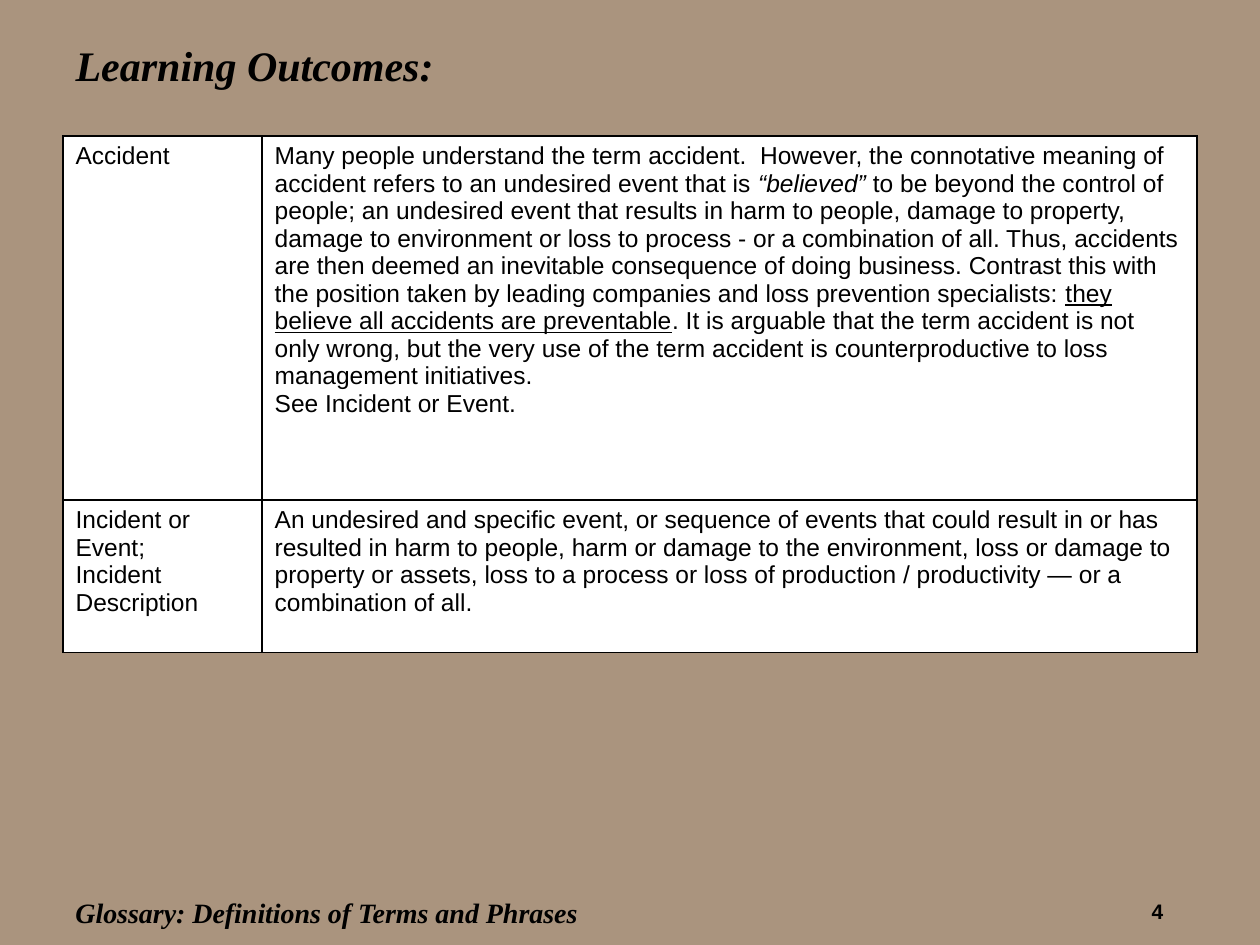
from lxml.etree import SubElement
from pptx import Presentation
from pptx.dml.color import RGBColor
from pptx.enum.text import MSO_ANCHOR as Anchor, PP_ALIGN as Align
from pptx.oxml.ns import qn
from pptx.util import Inches, Pt

COLORS = {"background": "AA947E", "cell": "FFFFFF", "ink": "000000"}
BODY_FONT, HEADING_FONT = "Arial", "Times New Roman"
BODY_SIZE = 14

TITLE = "Learning Outcomes:"
FOOTER = "Glossary: Definitions of Terms and Phrases"
PAGE = "4"
GLOSSARY = [
    (
        [[("Accident", "")]],
        [
            [
                ("Many people understand the term accident.  However, the connotative "
                 "meaning of accident refers to an undesired event that is ", ""),
                ("“believed” ", "italic"),
                ("to be beyond the control of people; an undesired event that results "
                 "in harm to people, damage to property, damage to environment or loss "
                 "to process - or a combination of all. Thus, accidents are then deemed "
                 "an inevitable consequence of doing business. Contrast this with the "
                 "position taken by leading companies and loss prevention specialists: ", ""),
                ("they believe all accidents are preventable", "underline"),
                (". It is arguable that the term accident is not only wrong, but the "
                 "very use of the term accident is counterproductive to loss management "
                 "initiatives.", ""),
            ],
            [("See Incident or Event.", "")],
        ],
    ),
    (
        [[("Incident or Event; \nIncident Description", "")]],
        [[("An undesired and specific event, or sequence of events that could result in "
           "or has resulted in harm to people, harm or damage to the environment, loss "
           "or damage to property or assets, loss to a process or loss of production / "
           "productivity — or a combination of all.", "")]],
    ),
]
MARGIN = 0.5
TABLE_TOP = 1.08
COLUMNS = [1.58, 7.42]
ROWS = [2.89, 1.21]
BAND_HEIGHT = 0.58


def color(key):
    return RGBColor.from_string(COLORS[key])


def style(font, face, size, **flags):
    font.name, font.size = face, Pt(size)
    font.color.rgb = color("ink")
    for flag, value in flags.items():
        setattr(font, flag, value)


def place(box, left, top, width, height):
    box.left, box.top, box.width, box.height = map(Inches, (left, top, width, height))


def write_label(box, text, face, size, align, anchor, italic):
    frame = box.text_frame
    frame.text = text
    frame.word_wrap = True
    frame.vertical_anchor = anchor
    frame.margin_left = frame.margin_right = Inches(0.1)
    frame.margin_top = frame.margin_bottom = Inches(0.05)
    paragraph = frame.paragraphs[0]
    paragraph.alignment = align
    style(paragraph.runs[0].font, face, size, bold=True, italic=italic)


def write_cell(cell, paragraphs):
    cell.fill.solid()
    cell.fill.fore_color.rgb = color("cell")
    frame = cell.text_frame
    for index, parts in enumerate(paragraphs):
        paragraph = frame.add_paragraph() if index else frame.paragraphs[0]
        for text, emphasis in parts:
            for line_number, line in enumerate(text.split("\n")):
                if line_number:
                    paragraph.add_line_break()
                run = paragraph.add_run()
                run.text = line
                style(run.font, BODY_FONT, BODY_SIZE, **({emphasis: True} if emphasis else {}))
        for line_break in paragraph._p.findall(qn("a:br")):
            SubElement(line_break, qn("a:rPr"), sz=str(BODY_SIZE * 100))


def draw_borders(cell):
    properties = cell._tc.get_or_add_tcPr()
    for index, side in enumerate(("lnL", "lnR", "lnT", "lnB")):
        line = properties.makeelement(qn(f"a:{side}"), {"w": str(Pt(1))})
        fill = SubElement(line, qn("a:solidFill"))
        SubElement(fill, qn("a:srgbClr"), val=COLORS["ink"])
        properties.insert(index, line)


def main():
    deck = Presentation()
    deck.slide_width, deck.slide_height = Inches(10), Inches(7.5)
    slide = deck.slides.add_slide(deck.slide_layouts[5])
    slide.background.fill.solid()
    slide.background.fill.fore_color.rgb = color("background")

    title = slide.shapes.title
    place(title, MARGIN, 0.22, sum(COLUMNS), BAND_HEIGHT)
    write_label(title, TITLE, HEADING_FONT, 24, Align.LEFT, Anchor.MIDDLE, True)

    bounds = map(Inches, (MARGIN, TABLE_TOP, sum(COLUMNS), sum(ROWS)))
    table = slide.shapes.add_table(len(ROWS), len(COLUMNS), *bounds).table
    table.first_row = table.horz_banding = False
    for column, width in zip(table.columns, COLUMNS):
        column.width = Inches(width)
    for row, height, entry in zip(table.rows, ROWS, GLOSSARY):
        row.height = Inches(height)
        for cell, paragraphs in zip(row.cells, entry):
            write_cell(cell, paragraphs)
            draw_borders(cell)

    footer = slide.shapes.add_textbox(0, 0, 0, 0)
    place(footer, MARGIN, 6.95, 4.48, BAND_HEIGHT)
    write_label(footer, FOOTER, HEADING_FONT, 16, Align.LEFT, Anchor.MIDDLE, True)

    page = slide.shapes.add_textbox(0, 0, 0, 0)
    place(page, 8.33, 7.08, 1, 0.25)
    write_label(page, PAGE, BODY_FONT, 12, Align.RIGHT, Anchor.TOP, False)

    deck.save("out.pptx")


if __name__ == "__main__":
    main()
